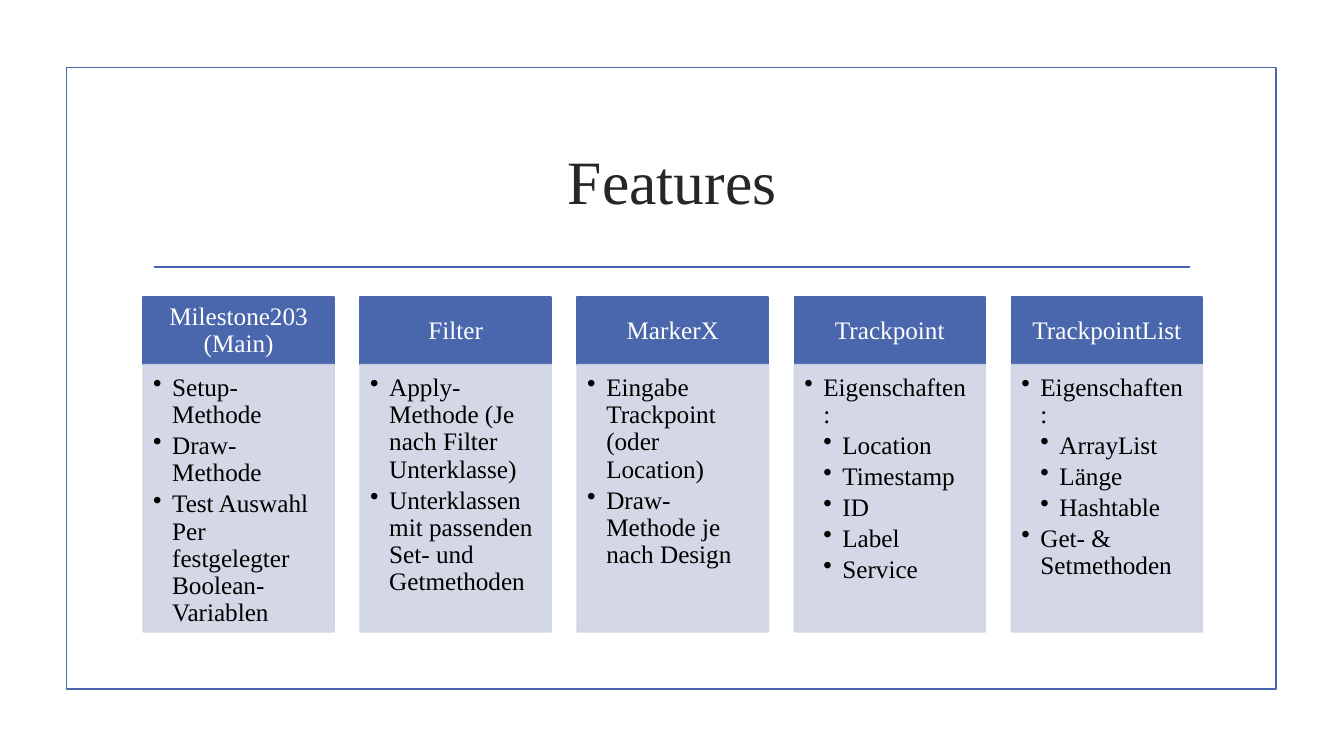
"""Build the Features slide: a framed title above five class cards."""
from lxml.etree import SubElement
from pptx import Presentation
from pptx.dml.color import RGBColor
from pptx.enum.shapes import MSO_CONNECTOR, MSO_SHAPE
from pptx.enum.text import MSO_ANCHOR, PP_ALIGN
from pptx.oxml.ns import qn
from pptx.util import Cm, Pt


class Theme:
    blue = RGBColor.from_string("4A66AC")
    pale = RGBColor.from_string("D0D3E3")
    white = RGBColor.from_string("FFFFFF")
    black = RGBColor.from_string("000000")
    dark = RGBColor.from_string("262626")
    face = "Times New Roman"
    title = Pt(44)
    text = Pt(18)
    rule = Pt(1.25)


def add_box(left, top, width, height, fill, line):
    box = slide.shapes.add_shape(
        MSO_SHAPE.RECTANGLE, Cm(left), Cm(top), Cm(width), Cm(height))
    box.shadow.inherit = False
    if fill is None:
        box.fill.background()
    else:
        box.fill.solid()
        box.fill.fore_color.rgb = fill
    box.line.color.rgb = line
    box.line.width = Theme.rule
    return box


def set_font(para, size, color):
    para.font.name = Theme.face
    para.font.size = size
    para.font.color.rgb = color


cards = [
    ("Milestone203 (Main)", [
        (0, "Setup-Methode"),
        (0, "Draw-Methode"),
        (0, "Test Auswahl Per festgelegter Boolean-Variablen")]),
    ("Filter", [
        (0, "Apply-Methode (Je nach Filter Unterklasse)"),
        (0, "Unterklassen mit passenden Set- und Getmethoden")]),
    ("MarkerX", [
        (0, "Eingabe Trackpoint (oder Location)"),
        (0, "Draw-Methode je nach Design")]),
    ("Trackpoint", [
        (0, "Eigenschaften:"),
        (1, "Location"),
        (1, "Timestamp"),
        (1, "ID"),
        (1, "Label"),
        (1, "Service")]),
    ("TrackpointList", [
        (0, "Eigenschaften:"),
        (1, "ArrayList"),
        (1, "Länge"),
        (1, "Hashtable"),
        (0, "Get- & Setmethoden")]),
]

deck = Presentation()
deck.slide_width, deck.slide_height = Cm(33.87), Cm(19.05)
slide = deck.slides.add_slide(deck.slide_layouts[5])

add_box(1.68, 1.7, 30.48, 15.67, None, Theme.blue)

rule = slide.shapes.add_connector(
    MSO_CONNECTOR.STRAIGHT, Cm(3.89), Cm(6.73), Cm(30), Cm(6.73))
rule.line.color.rgb = Theme.blue
rule.line.width = Theme.rule
SubElement(rule._element.spPr, qn("a:effectLst"))

title = slide.shapes.title
title.left, title.top = Cm(3.61), Cm(2.72)
title.width, title.height = Cm(26.67), Cm(3.63)
title.text_frame.text = "Features"
title.text_frame.vertical_anchor = MSO_ANCHOR.MIDDLE
title.text_frame.paragraphs[0].alignment = PP_ALIGN.CENTER
set_font(title.text_frame.paragraphs[0], Theme.title, Theme.dark)

first, pitch, width = 3.61, 5.47, 4.81
top, split, base = 7.49, 9.19, 15.92
indent = Cm(0.48)

for col, (name, items) in enumerate(cards):
    left = first + col * pitch

    head = add_box(left, top, width, split - top, Theme.blue, Theme.blue)
    frame = head.text_frame
    frame.word_wrap = True
    frame.vertical_anchor = MSO_ANCHOR.MIDDLE
    frame.margin_left = frame.margin_right = Cm(0.36)
    frame.margin_top = frame.margin_bottom = Cm(0.2)
    frame.text = name
    para = frame.paragraphs[0]
    para.alignment = PP_ALIGN.CENTER
    para.line_spacing = 0.9
    set_font(para, Theme.text, Theme.white)

    body = add_box(left, split, width, base - split, Theme.pale, Theme.pale)
    for color in body._element.spPr.iter(qn("a:srgbClr")):
        SubElement(color, qn("a:alpha"), val="90000")
    frame = body.text_frame
    frame.word_wrap = True
    frame.vertical_anchor = MSO_ANCHOR.TOP
    frame.margin_left = frame.margin_top = Cm(0.25)
    frame.margin_right, frame.margin_bottom = Cm(0.36), Cm(0.41)
    frame.text = "\n".join(text for level, text in items)
    for para, (level, text) in zip(frame.paragraphs, items):
        para.level = level + 1
        para.alignment = PP_ALIGN.LEFT
        para.line_spacing = 0.9
        para.space_after = Pt(2.7)
        props = para._p.get_or_add_pPr()
        props.set("marL", str(indent * (level + 1)))
        props.set("indent", str(-indent))
        SubElement(props, qn("a:buChar"), char="•")
        set_font(para, Theme.text, Theme.black)

deck.save("out.pptx")
